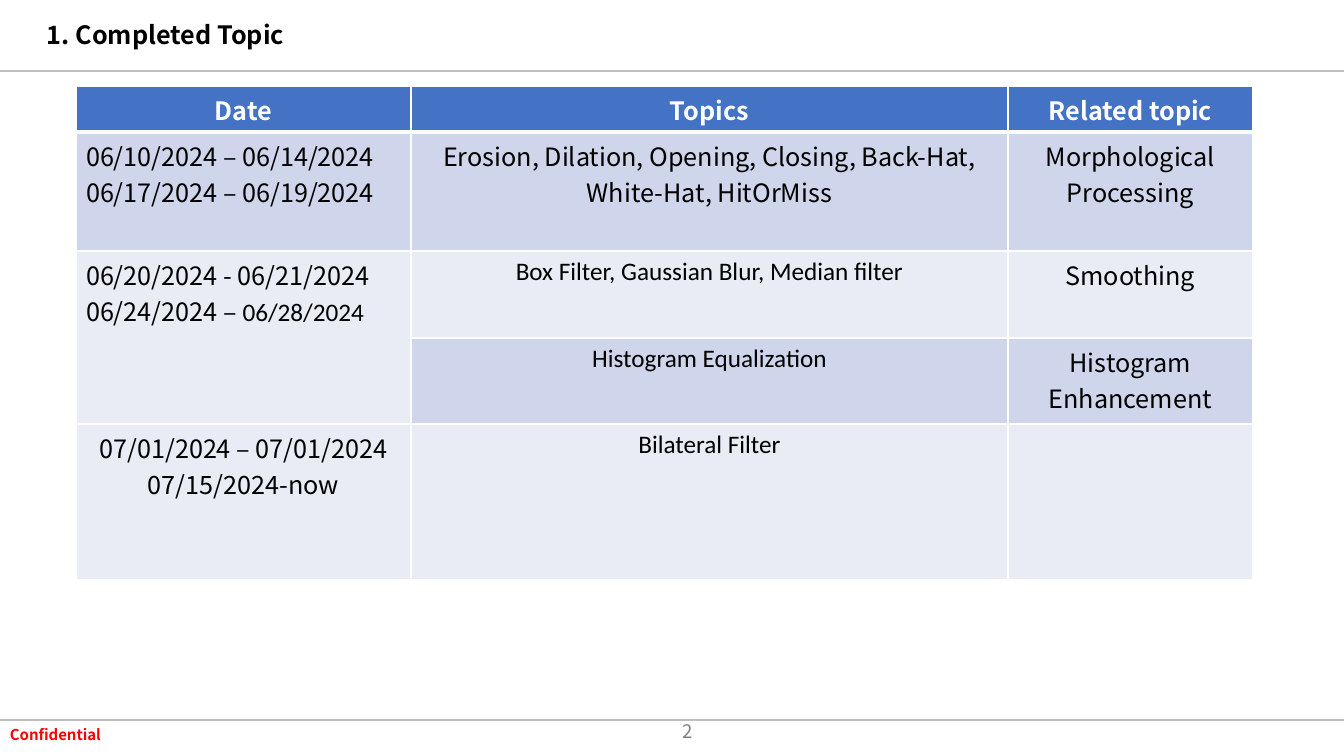
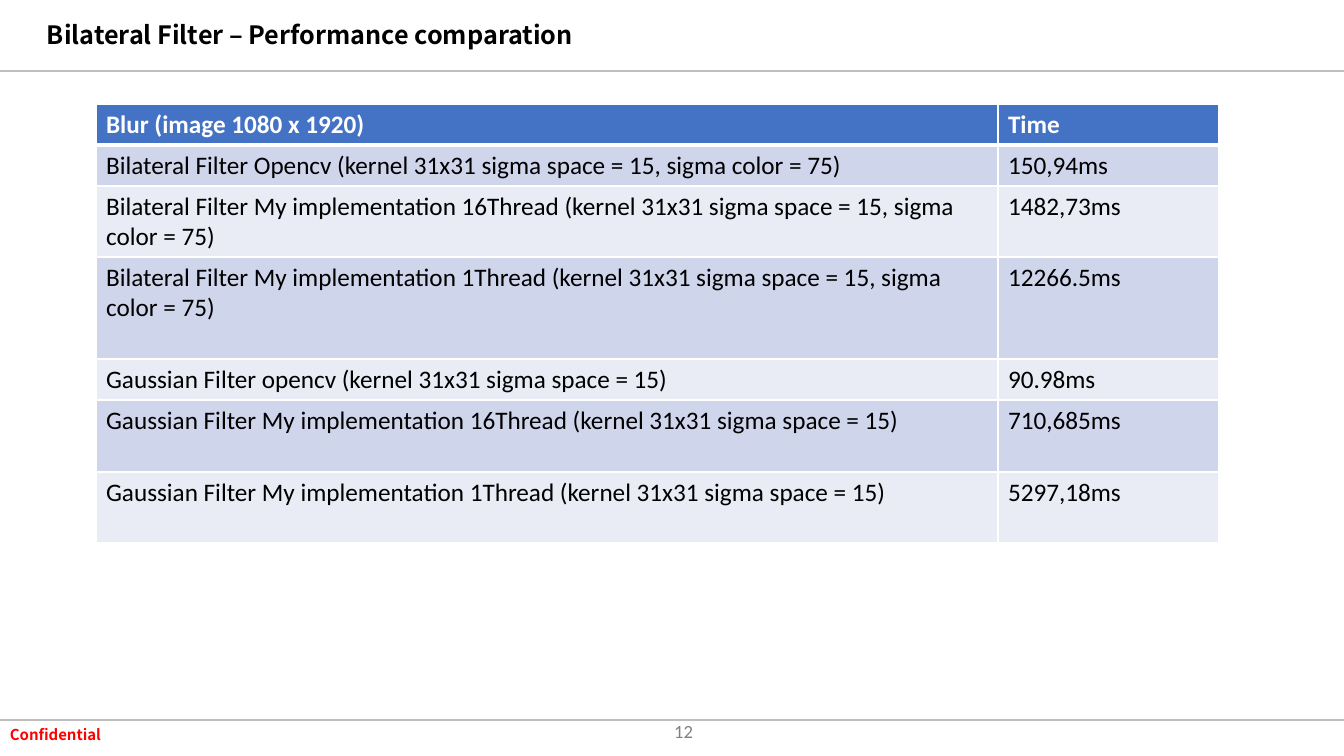
import dataclasses

import pptx
import pptx.dml.color
import pptx.enum.shapes
import pptx.enum.text
import pptx.oxml.ns
import pptx.util
from lxml import etree

ALIGN = pptx.enum.text.PP_ALIGN
ANCHOR = pptx.enum.text.MSO_ANCHOR
PAGE_WIDTH, PAGE_HEIGHT = 1344, 756
EMU_PER_PX = 914400 / 100.8


@dataclasses.dataclass(frozen=True)
class Theme:
    noto: str = "Noto Sans CJK KR"
    calibri: str = "Calibri"
    ink: str = "000000"
    white: str = "FFFFFF"
    rule: str = "BFBFBF"
    number: str = "808080"
    warning: str = "FF0000"
    header: str = "4472C4"
    bands: tuple = ("CFD5EA", "E9EBF5")
    text_size: float = 18
    number_size: float = 13.3
    footer_size: float = 10.7
    thin: float = 1
    thick: float = 3


THEME = Theme()


@dataclasses.dataclass(frozen=True)
class Entry:
    lines: tuple
    font: str = THEME.noto
    align: ALIGN = ALIGN.CENTER
    rows: int = 1


def px(value):
    return pptx.util.Emu(round(value * EMU_PER_PX))


def rgb(value):
    return pptx.dml.color.RGBColor.from_string(value)


def style_font(font, name, size, color, bold=False):
    font.name = name
    font.size = pptx.util.Pt(size)
    font.bold = bold
    font.color.rgb = rgb(color)


def add_text(page, bounds, text, name, size, color, bold=False,
             align=ALIGN.LEFT, anchor=ANCHOR.MIDDLE):
    box = page.shapes.add_textbox(*map(px, bounds))
    frame = box.text_frame
    frame.word_wrap = True
    frame.vertical_anchor = anchor
    para = frame.paragraphs[0]
    para.text = text
    para.alignment = align
    style_font(para.font, name, size, color, bold)
    return para


def add_rule(page, y):
    line = page.shapes.add_connector(
        pptx.enum.shapes.MSO_CONNECTOR.STRAIGHT, 0, px(y), px(PAGE_WIDTH), px(y))
    line.line.color.rgb = rgb(THEME.rule)
    line.line.width = pptx.util.Pt(THEME.thin)
    etree.SubElement(line._element.spPr, pptx.oxml.ns.qn("a:effectLst"))


def add_page(deck, title, number, number_font):
    page = deck.slides.add_slide(deck.slide_layouts[6])
    add_text(page, (0, 721, 231, 28), "Confidential", THEME.noto,
             THEME.footer_size, THEME.warning, True, anchor=ANCHOR.TOP)
    for y in (71, 720):
        add_rule(page, y)
    heading = add_text(page, (37, 16, 1100, 40), title, THEME.noto,
                       THEME.text_size, THEME.ink, True)
    heading.line_spacing = 0.9
    add_text(page, (627, 711, 76, 40), number, number_font,
             THEME.number_size, THEME.number, align=ALIGN.RIGHT)
    return page


def set_borders(cell, top, bottom):
    properties = cell._tc.get_or_add_tcPr()
    widths = {"lnL": THEME.thin, "lnR": THEME.thin, "lnT": top, "lnB": bottom}
    for side, width in widths.items():
        edge = etree.SubElement(properties, pptx.oxml.ns.qn(f"a:{side}"),
                                w=str(pptx.util.Pt(width)))
        fill = etree.SubElement(edge, pptx.oxml.ns.qn("a:solidFill"))
        etree.SubElement(fill, pptx.oxml.ns.qn("a:srgbClr"), val=THEME.white)


def fill_cell(cell, entry, color, bold):
    frame = cell.text_frame
    for index, line in enumerate(entry.lines):
        para = frame.add_paragraph() if index else frame.paragraphs[0]
        para.alignment = entry.align
        style_font(para.font, entry.font, THEME.text_size, color, bold)
        spans = ((line, None),) if isinstance(line, str) else line
        for text, font in spans:
            span = para.add_run()
            span.text = text
            if font:
                span.font.name = font


def add_grid(page, left, top, widths, heights, entries):
    bounds = (left, top, sum(widths), sum(heights))
    table = page.shapes.add_table(
        len(heights), len(widths), *map(px, bounds)).table
    table.horz_banding = False
    for column, width in zip(table.columns, widths):
        column.width = px(width)
    for row, height in zip(table.rows, heights):
        row.height = px(height)
    for r, row in enumerate(entries):
        is_header = r == 0
        for c, entry in enumerate(row):
            cell = table.cell(r, c)
            set_borders(cell, THEME.thick if r == 1 else THEME.thin,
                        THEME.thick if is_header else THEME.thin)
            cell.fill.solid()
            cell.fill.fore_color.rgb = rgb(
                THEME.header if is_header else THEME.bands[(r - 1) % 2])
            if entry is None:
                continue
            fill_cell(cell, entry, THEME.white if is_header else THEME.ink, is_header)
            if entry.rows > 1:
                cell.merge(table.cell(r + entry.rows - 1, c))


def add_topics(deck):
    page = add_page(deck, "1. Completed Topic", "2", THEME.noto)
    entries = [
        [Entry((name,)) for name in ("Date", "Topics", "Related topic")],
        [Entry(("06/10/2024 – 06/14/2024", "06/17/2024 – 06/19/2024"), align=ALIGN.LEFT),
         Entry(("Erosion, Dilation, Opening, Closing, Back-Hat, White-Hat, HitOrMiss",)),
         Entry(("Morphological Processing",))],
        [Entry(("06/20/2024 - 06/21/2024",
                (("06/24/2024 – ", None), ("06/28/2024", THEME.calibri))),
               align=ALIGN.LEFT, rows=2),
         Entry(("Box Filter, Gaussian Blur, Median filter",), THEME.calibri),
         Entry(("Smoothing",))],
        [None,
         Entry(("Histogram Equalization",), THEME.calibri),
         Entry(("Histogram Enhancement",))],
        [Entry(("07/01/2024 – 07/01/2024", "07/15/2024-now")),
         Entry(("Bilateral Filter",), THEME.calibri),
         None],
    ]
    add_grid(page, 76, 86, (335, 597, 245), (46, 119, 87, 86, 156), entries)


def add_performance(deck):
    page = add_page(deck, "Bilateral Filter – Performance comparation", "12", THEME.calibri)
    bilateral = "kernel 31x31 sigma space = 15, sigma color = 75"
    gaussian = "kernel 31x31 sigma space = 15"
    rows = (
        ("Blur (image 1080 x 1920)", "Time"),
        (f"Bilateral Filter Opencv ({bilateral})", "150,94ms"),
        (f"Bilateral Filter My implementation 16Thread ({bilateral})", "1482,73ms"),
        (f"Bilateral Filter My implementation 1Thread ({bilateral})", "12266.5ms"),
        (f"Gaussian Filter opencv ({gaussian})", "90.98ms"),
        (f"Gaussian Filter My implementation 16Thread ({gaussian})", "710,685ms"),
        (f"Gaussian Filter My implementation 1Thread ({gaussian})", "5297,18ms"),
    )
    entries = [[Entry((text,), THEME.calibri, ALIGN.LEFT) for text in row] for row in rows]
    add_grid(page, 96, 104, (902, 221), (41, 41, 71, 102, 41, 72, 71), entries)


def main():
    deck = pptx.Presentation()
    deck.slide_width = px(PAGE_WIDTH)
    deck.slide_height = px(PAGE_HEIGHT)
    add_topics(deck)
    add_performance(deck)
    deck.save("out.pptx")


if __name__ == "__main__":
    main()
